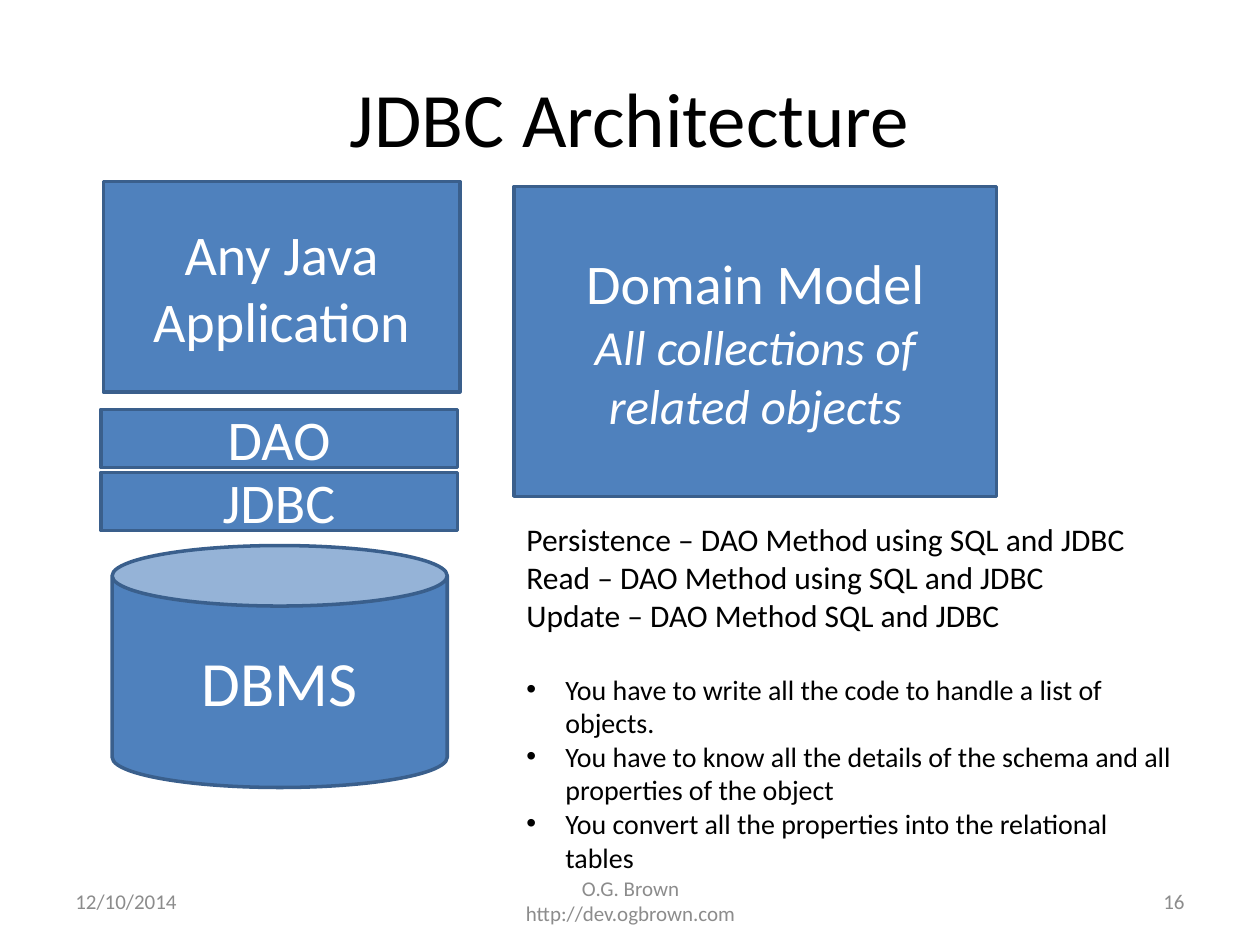
from dataclasses import dataclass

from lxml.etree import SubElement
from pptx import Presentation
from pptx.dml.color import RGBColor
from pptx.enum.shapes import MSO_SHAPE as Shape
from pptx.enum.text import MSO_ANCHOR as Anchor, PP_ALIGN as Align
from pptx.oxml.ns import qn
from pptx.util import Inches, Pt


@dataclass(frozen=True)
class Theme:
    font: str = "Calibri"
    fill: RGBColor = RGBColor(0x4F, 0x81, 0xBD)
    outline: RGBColor = RGBColor(0x3A, 0x5F, 0x8C)
    light: RGBColor = RGBColor(0xFF, 0xFF, 0xFF)
    dark: RGBColor = RGBColor(0, 0, 0)
    muted: RGBColor = RGBColor(0x8C, 0x8C, 0x8C)
    title: int = 44
    store: int = 36
    block: int = 32
    subtitle: int = 28
    body: int = 18
    bullet: int = 16
    footer: int = 12


@dataclass
class SlideBuilder:
    """Draws styled elements on the current slide."""

    slide: object
    theme: Theme

    def fill_frame(self, frame, lines, size, color, align):
        frame.word_wrap = True
        for index, line in enumerate(lines):
            paragraph = frame.paragraphs[0] if index == 0 else frame.add_paragraph()
            paragraph.text = line
            paragraph.alignment = align
            paragraph.font.name = self.theme.font
            paragraph.font.size = Pt(size)
            paragraph.font.color.rgb = color

    def text(self, box, lines, size, color, align=Align.LEFT, anchor=Anchor.MIDDLE):
        frame = self.slide.shapes.add_textbox(*map(Inches, box)).text_frame
        frame.vertical_anchor = anchor
        self.fill_frame(frame, lines, size, color, align)
        return frame

    def block(self, box, lines, size, kind=Shape.RECTANGLE):
        shape = self.slide.shapes.add_shape(kind, *map(Inches, box))
        shape.shadow.inherit = False
        shape.fill.solid()
        shape.fill.fore_color.rgb = self.theme.fill
        shape.line.color.rgb = self.theme.outline
        shape.line.width = Pt(2)
        shape.text_frame.vertical_anchor = Anchor.MIDDLE
        self.fill_frame(shape.text_frame, lines, size, self.theme.light, Align.CENTER)
        return shape.text_frame

    def bullet(self, paragraph):
        paragraph.font.size = Pt(self.theme.bullet)
        properties = paragraph._p.get_or_add_pPr()
        properties.set("marL", str(Inches(0.31)))
        properties.set("indent", str(-Inches(0.31)))
        defaults = properties.find(qn("a:defRPr"))
        defaults.addprevious(SubElement(properties, qn("a:buFont"), typeface="Arial"))
        defaults.addprevious(SubElement(properties, qn("a:buChar"), char="•"))


def main():
    presentation = Presentation()
    presentation.slide_width = Inches(10)
    presentation.slide_height = Inches(7.5)
    slide = presentation.slides.add_slide(presentation.slide_layouts[6])
    theme = Theme()
    builder = SlideBuilder(slide, theme)

    builder.text((0.5, 0.3, 9, 1.25), ["JDBC Architecture"], theme.title, theme.dark, Align.CENTER)

    footers = [
        (0.5, 2.33, ["12/10/2014"], Align.LEFT),
        (3.42, 3.17, ["O.G. Brown", "http://dev.ogbrown.com"], Align.CENTER),
        (7.17, 2.33, ["16"], Align.RIGHT),
    ]
    for left, width, lines, align in footers:
        builder.text((left, 6.95, width, 0.4), lines, theme.footer, theme.muted, align)

    builder.block((0.82, 1.44, 2.83, 1.67), ["Any Java Application"], theme.block)
    for row, layer in enumerate(["DAO", "JDBC"]):
        builder.block((0.8, 3.25 + row * 0.5, 2.83, 0.46), [layer], theme.block)
    builder.block((0.89, 4.33, 2.66, 1.92), ["DBMS"], theme.store, Shape.CAN)

    domain_model = builder.block(
        (4.08, 1.48, 3.83, 2.46),
        ["Domain Model", "All collections of related objects"],
        theme.block,
    )
    subtitle = domain_model.paragraphs[1]
    subtitle.font.size = Pt(theme.subtitle)
    subtitle.font.italic = True

    operations = [
        "Persistence – DAO Method using SQL and JDBC",
        "Read – DAO Method using SQL and JDBC",
        "Update – DAO Method SQL and JDBC",
    ]
    drawbacks = [
        "You have to write all the code to handle a list of objects.",
        "You have to know all the details of the schema and all properties of the object",
        "You convert all the properties into the relational tables",
    ]
    notes = builder.text(
        (4.08, 4.08, 5.33, 2.93), operations + drawbacks, theme.body, theme.dark, anchor=Anchor.TOP
    )
    bullets = notes.paragraphs[len(operations):]
    bullets[0].space_before = Pt(22)
    for paragraph in bullets:
        builder.bullet(paragraph)

    presentation.save("out.pptx")


if __name__ == "__main__":
    main()
